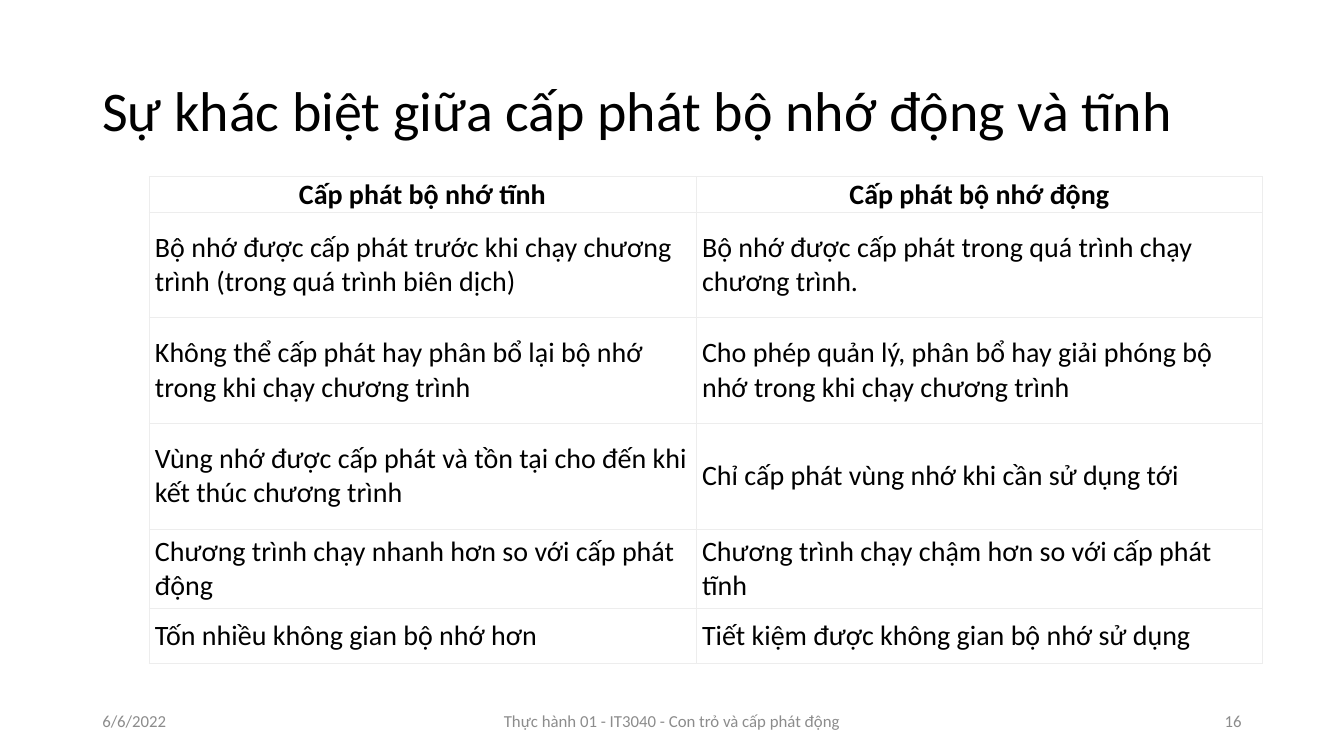
from lxml.etree import SubElement
from pptx import Presentation
from pptx.dml.color import RGBColor
from pptx.enum.text import MSO_ANCHOR, PP_ALIGN
from pptx.oxml.ns import qn
from pptx.util import Pt

BLACK = RGBColor(0x00, 0x00, 0x00)
WHITE = RGBColor(0xFF, 0xFF, 0xFF)
FOOTER_GREY = RGBColor(0x8C, 0x8C, 0x8C)
BORDER_GREY = RGBColor(0xED, 0xED, 0xED)


class SlideBuilder:
    """Holds the text style and the slide being built."""

    font = "Calibri"
    border_width = Pt(0.6)

    def __init__(self, slide):
        self.slide = slide

    def add_text_run(self, paragraph, text, size, color=BLACK, align=PP_ALIGN.LEFT, bold=False):
        paragraph.alignment = align
        run = paragraph.add_run()
        run.text = text
        run.font.name = self.font
        run.font.size = Pt(size)
        run.font.bold = bold
        run.font.color.rgb = color

    def add_text(self, left, top, width, height, text, size, line_spacing=1.0, **style):
        shape = self.slide.shapes.add_textbox(Pt(left), Pt(top), Pt(width), Pt(height))
        frame = shape.text_frame
        frame.word_wrap = True
        frame.vertical_anchor = MSO_ANCHOR.MIDDLE
        paragraph = frame.paragraphs[0]
        paragraph.line_spacing = line_spacing
        self.add_text_run(paragraph, text, size, **style)

    def add_border(self, cell):
        properties = cell._tc.get_or_add_tcPr()
        for position, side in enumerate(("lnL", "lnR", "lnT", "lnB")):
            line = SubElement(properties, qn(f"a:{side}"), w=str(int(self.border_width)))
            fill = SubElement(line, qn("a:solidFill"))
            SubElement(fill, qn("a:srgbClr"), val=str(BORDER_GREY))
            properties.insert(position, line)

    def add_table(self, left, top, widths, heights, rows, size):
        table = self.slide.shapes.add_table(
            len(rows), len(widths), Pt(left), Pt(top), Pt(sum(widths)), Pt(sum(heights))
        ).table
        table.horz_banding = False
        for column, width in zip(table.columns, widths):
            column.width = Pt(width)
        for row, height in zip(table.rows, heights):
            row.height = Pt(height)
        for row_index, texts in enumerate(rows):
            header = row_index == 0
            align = PP_ALIGN.CENTER if header else PP_ALIGN.LEFT
            for column_index, text in enumerate(texts):
                cell = table.cell(row_index, column_index)
                cell.fill.solid()
                cell.fill.fore_color.rgb = WHITE
                cell.vertical_anchor = MSO_ANCHOR.MIDDLE
                cell.margin_left = cell.margin_right = Pt(4.3)
                cell.margin_top = cell.margin_bottom = Pt(0.7)
                self.add_border(cell)
                paragraph = cell.text_frame.paragraphs[0]
                self.add_text_run(paragraph, text, size, align=align, bold=header)


presentation = Presentation()
presentation.slide_width = Pt(960)
presentation.slide_height = Pt(540)
builder = SlideBuilder(presentation.slides.add_slide(presentation.slide_layouts[6]))

# Title
builder.add_text(66, 28.75, 848, 104.4, "Sự khác biệt giữa cấp phát bộ nhớ động và tĩnh", 40,
                 line_spacing=0.9)

# Comparison of static and dynamic allocation
COMPARISON = [
    ("Cấp phát bộ nhớ tĩnh", "Cấp phát bộ nhớ động"),
    ("Bộ nhớ được cấp phát trước khi chạy chương trình (trong quá trình biên dịch)",
     "Bộ nhớ được cấp phát trong quá trình chạy chương trình."),
    ("Không thể cấp phát hay phân bổ lại bộ nhớ trong khi chạy chương trình",
     "Cho phép quản lý, phân bổ hay giải phóng bộ nhớ trong khi chạy chương trình"),
    ("Vùng nhớ được cấp phát và tồn tại cho đến khi kết thúc chương trình",
     "Chỉ cấp phát vùng nhớ khi cần sử dụng tới"),
    ("Chương trình chạy nhanh hơn so với cấp phát động",
     "Chương trình chạy chậm hơn so với cấp phát tĩnh"),
    ("Tốn nhiều không gian bộ nhớ hơn", "Tiết kiệm được không gian bộ nhớ sử dụng"),
]
ROW_HEIGHTS = [20.2, 75.5, 75.5, 75.5, 56.9, 38.9]
builder.add_table(106.4, 126, [390.8, 404.8], ROW_HEIGHTS, COMPARISON, 20)

# Footer: date, course, slide number
FOOTER = [
    (66, 216, "6/6/2022", PP_ALIGN.LEFT),
    (318, 324, "Thực hành 01 - IT3040 - Con trỏ và cấp phát động", PP_ALIGN.CENTER),
    (678, 216, "16", PP_ALIGN.RIGHT),
]
for left, width, text, align in FOOTER:
    builder.add_text(left, 500.5, width, 28.75, text, 12, color=FOOTER_GREY, align=align)

presentation.save("out.pptx")
